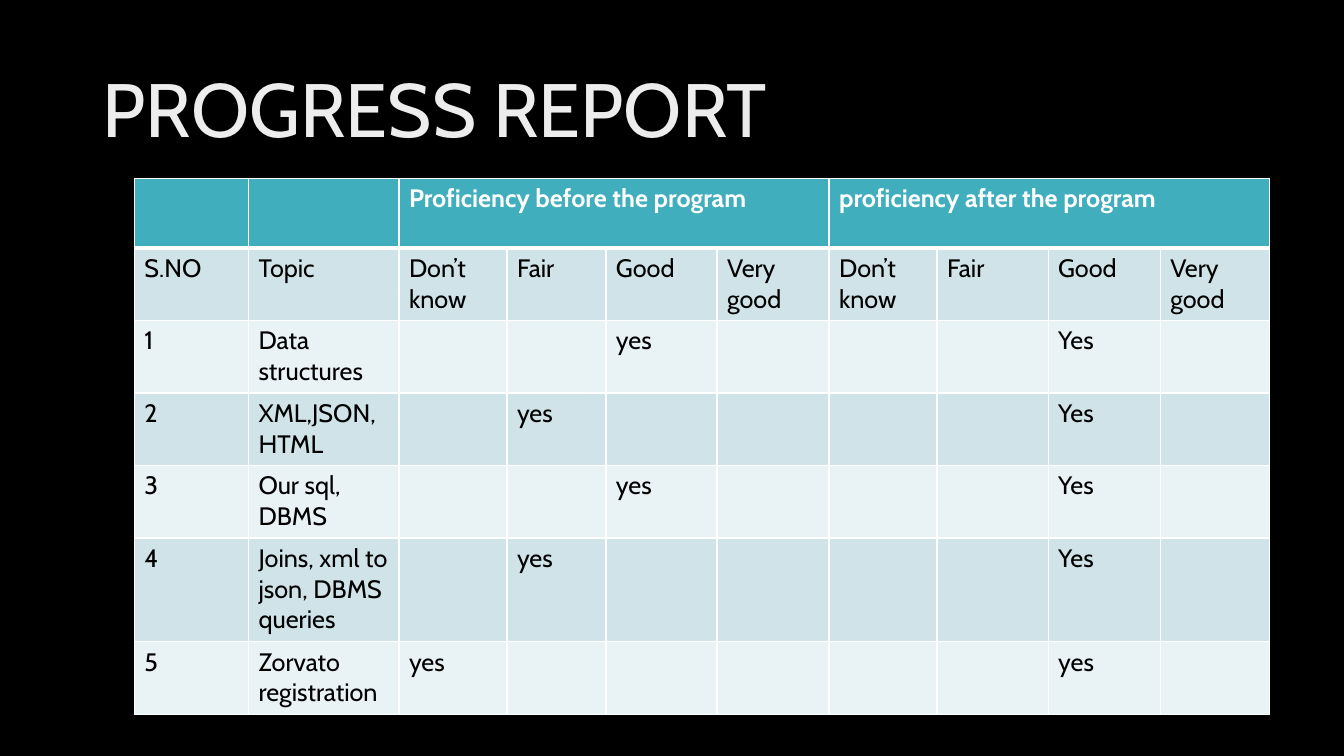
from lxml.etree import SubElement
from pptx import Presentation
from pptx.dml.color import RGBColor
from pptx.enum.text import MSO_ANCHOR, PP_ALIGN
from pptx.oxml.ns import qn
from pptx.util import Inches, Pt

FONT = "Cabin"
BLACK, WHITE, TITLE_GREY = "000000", "FFFFFF", "EDEDED"
HEADER_TEAL, BANDS = "41AEBD", ("CFE3E8", "E9F2F4")

COLUMN_WEIGHTS = (1.13, 1.49, 1.07, 0.98, 1.1, 1.11, 1.07, 1.1, 1.11, 1.08)
ROW_WEIGHTS = (0.69, 0.72, 0.72, 0.72, 0.72, 1.03, 0.72)
LEVELS = ("Don’t know", "Fair", "Good", "Very good")
PERIODS = ("Proficiency before the program", "proficiency after the program")
# Topic, then the level and wording of the answer before and after
PROGRESS = (
    ("Data structures", ("Good", "yes"), ("Good", "Yes")),
    ("XML,JSON,HTML", ("Fair", "yes"), ("Good", "Yes")),
    ("Our sql, DBMS", ("Good", "yes"), ("Good", "Yes")),
    ("Joins, xml to json, DBMS queries", ("Fair", "yes"), ("Good", "Yes")),
    ("Zorvato registration", ("Don’t know", "yes"), ("Good", "yes")),
)


def colour(hex_value):
    return RGBColor.from_string(hex_value)


def answer_cells(answer):
    chosen, wording = answer
    return [wording if level == chosen else "" for level in LEVELS]


def progress_rows():
    header = ["", ""]
    for period in PERIODS:
        header += [period] + [""] * (len(LEVELS) - 1)
    rows = [header, ["S.NO", "Topic", *LEVELS, *LEVELS]]
    for number, (topic, before, after) in enumerate(PROGRESS, start=1):
        rows.append([str(number), topic, *answer_cells(before), *answer_cells(after)])
    return rows


class SlideBuilder:
    """Holds the deck's style and current slide; boxes are percentages of the slide."""

    def __init__(self, width, height, background):
        self.deck = Presentation()
        self.deck.slide_width, self.deck.slide_height = Inches(width), Inches(height)
        self.slide = self.deck.slides.add_slide(self.deck.slide_layouts[6])
        self.slide.background.fill.solid()
        self.slide.background.fill.fore_color.rgb = colour(background)

    def place(self, left, top, width, height):
        across, down = self.deck.slide_width / 100, self.deck.slide_height / 100
        return [round(length) for length in
                (left * across, top * down, width * across, height * down)]

    def add_text(self, paragraph, text, size, hex_value, bold=False):
        font = paragraph.font
        if text:
            run = paragraph.add_run()
            run.text = text
            font = run.font
        for name, value in {"name": FONT, "size": Pt(size), "bold": bold}.items():
            setattr(font, name, value)
        font.color.rgb = colour(hex_value)

    def title(self, text, box):
        frame = self.slide.shapes.add_textbox(*self.place(*box)).text_frame
        for name, value in {"word_wrap": True, "vertical_anchor": MSO_ANCHOR.MIDDLE}.items():
            setattr(frame, name, value)
        heading = frame.paragraphs[0]
        for name, value in {"line_spacing": 0.9, "alignment": PP_ALIGN.LEFT}.items():
            setattr(heading, name, value)
        self.add_text(heading, text, 54, TITLE_GREY)

    def border(self, cell, bottom_width):
        """Draw white lines round a cell; they must precede its fill in the XML."""
        properties = cell._tc.get_or_add_tcPr()
        for side, width in {"L": 1, "R": 1, "T": 1, "B": bottom_width}.items():
            line = SubElement(properties, qn(f"a:ln{side}"), w=str(Pt(width)))
            solid = SubElement(line, qn("a:solidFill"))
            SubElement(solid, qn("a:srgbClr"), val=WHITE)

    def table(self, rows, box):
        left, top, width, height = self.place(*box)
        grid = self.slide.shapes.add_table(
            len(rows), len(rows[0]), left, top, width, height).table
        for column, weight in zip(grid.columns, COLUMN_WEIGHTS):
            column.width = round(width * weight / sum(COLUMN_WEIGHTS))
        for row, weight in zip(grid.rows, ROW_WEIGHTS):
            row.height = round(height * weight / sum(ROW_WEIGHTS))
        for row_index, row in enumerate(rows):
            is_header = row_index == 0
            band = HEADER_TEAL if is_header else BANDS[(row_index - 1) % 2]
            for column_index, text in enumerate(row):
                cell = grid.cell(row_index, column_index)
                self.border(cell, 3 if is_header else 1)
                cell.fill.solid()
                cell.fill.fore_color.rgb = colour(band)
                self.add_text(cell.text_frame.paragraphs[0], text, 18,
                              WHITE if is_header else BLACK, is_header)
        for first in range(2, len(rows[0]), len(LEVELS)):
            grid.cell(0, first).merge(grid.cell(0, first + len(LEVELS) - 1))


def main():
    report = SlideBuilder(13.33, 7.5, BLACK)
    report.title("PROGRESS REPORT", (6.9, 5.33, 86.25, 19.33))
    report.table(progress_rows(), (10, 23.6, 84.45, 70.9))
    report.deck.save("out.pptx")


if __name__ == "__main__":
    main()
